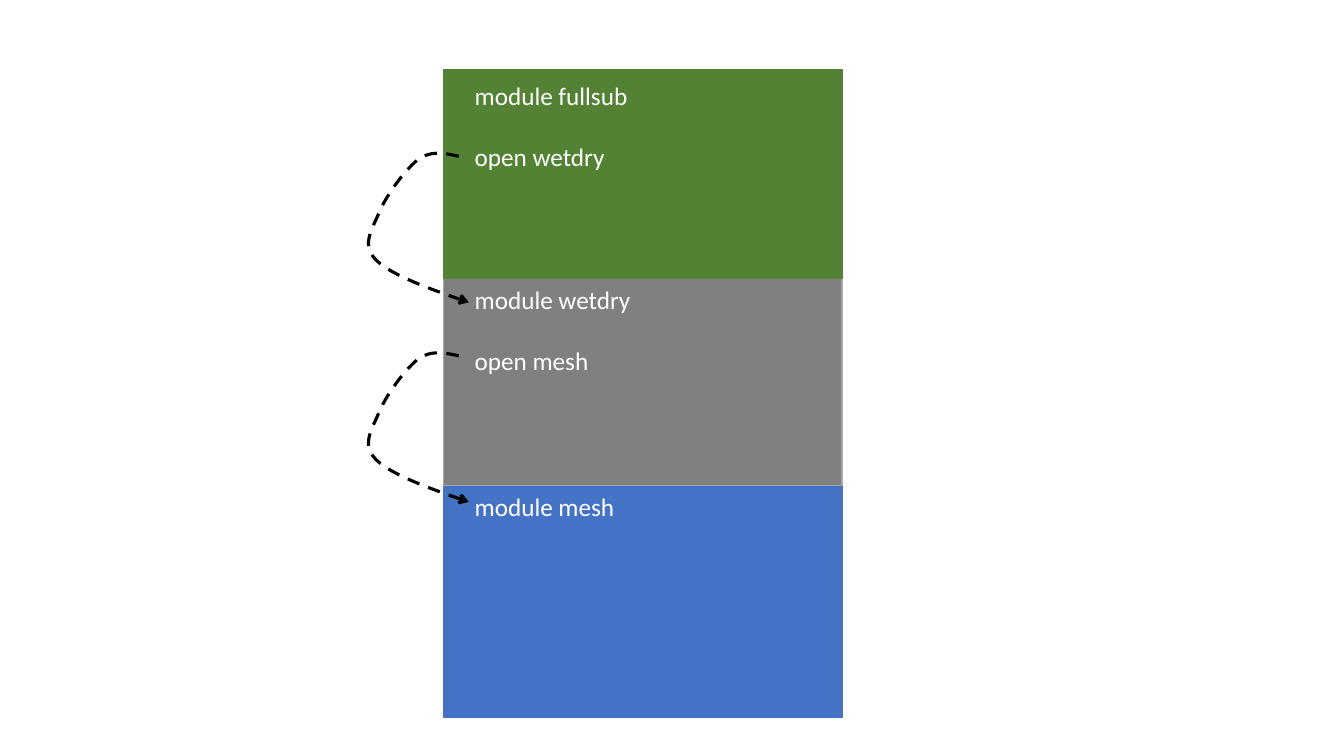
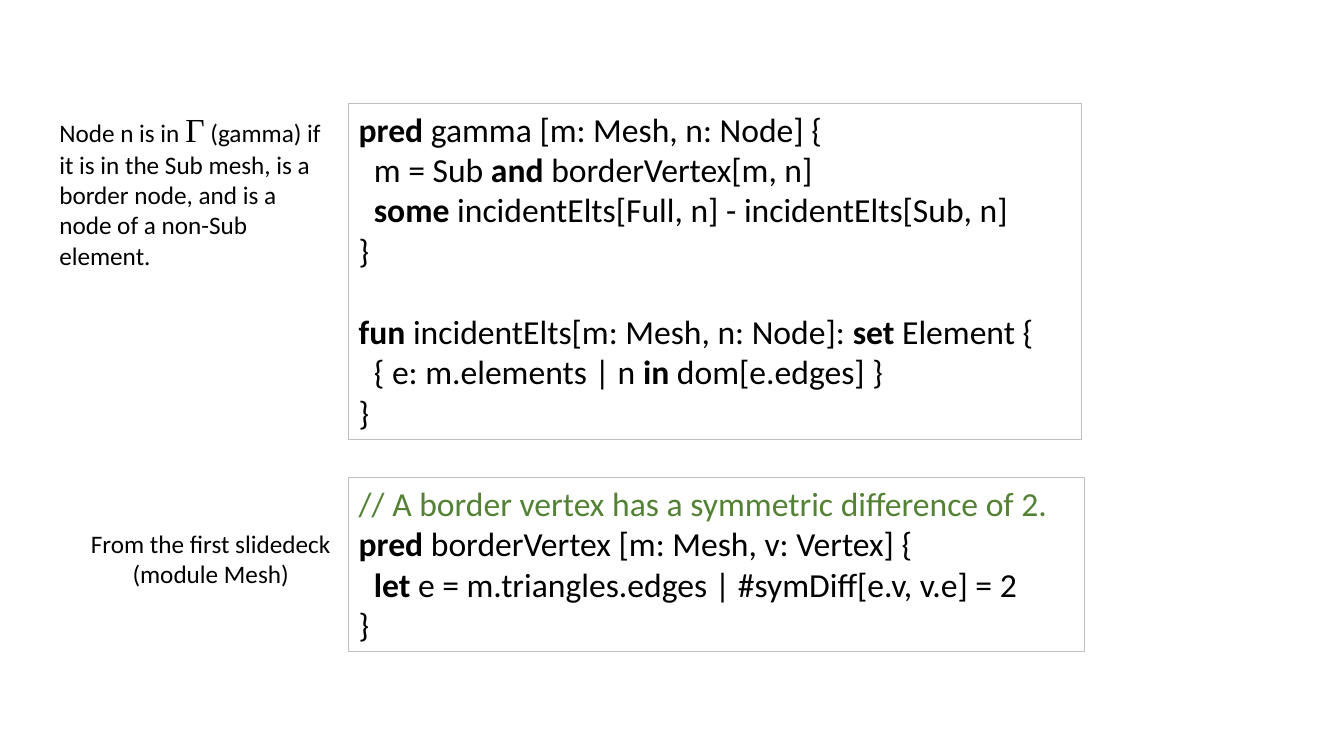
from lxml.etree import SubElement
from pptx import Presentation
from pptx.dml.color import RGBColor
from pptx.enum.dml import MSO_LINE
from pptx.enum.shapes import MSO_SHAPE
from pptx.enum.text import MSO_AUTO_SIZE, PP_ALIGN
from pptx.oxml.ns import qn
from pptx.util import Inches, Pt

FONT = "Calibri"
BLACK, WHITE = "000000", "FFFFFF"
GREEN, GRAY, BLUE = "548235", "808080", "4472C4"
LIGHT_GRAY, PALE_GRAY = "A6A6A6", "BFBFBF"
LINE_HEIGHT = 1.22  # of the font size
CODE_INDENT = Inches(0.15)


def rgb(value):
    return RGBColor.from_string(value)


def add_text(slide, box, lines, size, color, wrap=True, align=PP_ALIGN.LEFT):
    """Add (text, indent level, space before, color) lines; ** encloses bold."""
    textbox = slide.shapes.add_textbox(*map(Inches, box))
    frame = textbox.text_frame
    frame.word_wrap = wrap
    frame.auto_size = MSO_AUTO_SIZE.SHAPE_TO_FIT_TEXT
    for number, (text, level, gap, own_color) in enumerate(lines):
        paragraph = frame.add_paragraph() if number else frame.paragraphs[0]
        paragraph.alignment = align
        paragraph.space_before = Pt(gap)
        paragraph.font.name = FONT
        paragraph.font.size = Pt(size)
        paragraph.font.color.rgb = rgb(own_color or color)
        if level:
            properties = paragraph._p.get_or_add_pPr()
            properties.set("marL", str(level * CODE_INDENT))
            properties.set("indent", "0")
        for index, part in enumerate(text.split("**")):
            if part:
                run = paragraph.add_run()
                run.text = part
                if index % 2:
                    run.font.bold = True
    return textbox


prs = Presentation()
prs.slide_width, prs.slide_height = Inches(13.33), Inches(7.5)
blank = prs.slide_layouts[6]

# Slide 1: stacked modules, lowest first
modules_slide = prs.slides.add_slide(blank)
modules = [
    # top, height, fill, outline, label top, label width, label height, module, opened
    (4.79, 2.33, BLUE, BLUE, 4.83, 1.6, 0.4, "mesh", None),
    (2.75, 2.07, GRAY, LIGHT_GRAY, 2.77, 1.77, 1.01, "wetdry", "mesh"),
    (0.69, 2.07, GREEN, GREEN, 0.75, 1.74, 1.01, "fullsub", "wetdry"),
]
for top, height, fill, outline, label_top, label_width, label_height, module, opened in modules:
    block = modules_slide.shapes.add_shape(
        MSO_SHAPE.RECTANGLE, Inches(4.4), Inches(top), Inches(3.95), Inches(height))
    block.shadow.inherit = False
    block.fill.solid()
    block.fill.fore_color.rgb = rgb(fill)
    block.line.color.rgb = rgb(outline)
    block.line.width = Pt(1)
    lines = [(f"module {module}", 0, 0, None)]
    if opened:
        lines.append((f"open {opened}", 0, 18 * LINE_HEIGHT, None))
    add_text(modules_slide, (4.61, label_top, label_width, label_height),
             lines, 18, WHITE, wrap=False)

# Dashed curves from each "open" to the module it opens
curve_start = (4.55, 1.55)
curve_segments = [  # two control points and an end
    ((4.41, 1.52), (4.28, 1.49), (4.15, 1.58)),
    ((4.02, 1.68), (3.83, 1.94), (3.76, 2.11)),
    ((3.69, 2.28), (3.58, 2.43), (3.73, 2.58)),
    ((3.88, 2.73), (4.27, 2.87), (4.65, 3)),
]
STEPS = 12
curve_points = []
segment_start = curve_start
for control_1, control_2, end in curve_segments:
    for step in range(1, STEPS + 1):
        t = step / STEPS
        weights = ((1 - t) ** 3, 3 * t * (1 - t) ** 2, 3 * t * t * (1 - t), t ** 3)
        anchors = (segment_start, control_1, control_2, end)
        curve_points.append(tuple(
            sum(weight * anchor[axis] for weight, anchor in zip(weights, anchors))
            for axis in (0, 1)))
    segment_start = end

for drop in (0, 1.98):
    builder = modules_slide.shapes.build_freeform(
        Inches(curve_start[0]), Inches(curve_start[1] + drop))
    builder.add_line_segments(
        [(Inches(x), Inches(y + drop)) for x, y in curve_points], close=False)
    curve = builder.convert_to_shape()
    curve.shadow.inherit = False
    curve.fill.background()
    curve.line.color.rgb = rgb(BLACK)
    curve.line.width = Pt(2.25)
    curve.line.dash_style = MSO_LINE.DASH
    SubElement(curve.line._get_or_add_ln(), qn("a:tailEnd"), type="arrow")

# Slide 2: code boxes
code_slide = prs.slides.add_slide(blank)
gamma_code = [
    ("**pred** gamma [m: Mesh, n: Node] {", 0, 0, None),
    ("m = Sub **and** borderVertex[m, n]", 1, 0, None),
    ("**some** incidentElts[Full, n] - incidentElts[Sub, n]", 1, 0, None),
    ("}", 0, 0, None),
    ("**fun** incidentElts[m: Mesh, n: Node]: **set** Element {", 0, 24 * LINE_HEIGHT, None),
    ("{ e: m.elements | n **in** dom[e.edges] }", 1, 0, None),
    ("}", 0, 0, None),
]
border_code = [
    ("// A border vertex has a symmetric difference of 2.", 0, 0, GREEN),
    ("**pred** borderVertex [m: Mesh, v: Vertex] {", 0, 0, None),
    ("**let** e = m.triangles.edges | #symDiff[e.v, v.e] = 2", 1, 0, None),
    ("}", 0, 0, None),
]
for box, code in [((3.46, 1.03, 7.27, 3.33), gamma_code),
                  ((3.46, 4.74, 7.3, 1.72), border_code)]:
    code_box = add_text(code_slide, box, code, 24, BLACK)
    code_box.line.color.rgb = rgb(PALE_GRAY)
    code_box.line.width = Pt(0.75)

# Notes beside the code
add_text(code_slide, (0.79, 5.19, 2.6, 0.71),
         [("From the first slidedeck", 0, 0, None), ("(module Mesh)", 0, 0, None)],
         18, BLACK, wrap=False, align=PP_ALIGN.CENTER)
gamma_note = add_text(code_slide, (0.49, 1.03, 2.9, 1.72),
                      [("Node n is in ", 0, 0, None)], 18, BLACK)
gamma_paragraph = gamma_note.text_frame.paragraphs[0]
symbol = gamma_paragraph.add_run()
symbol.text = "Γ"
symbol.font.name = "Times New Roman"
symbol.font.size = Pt(24)
gamma_paragraph.add_run().text = (
    " (gamma) if it is in the Sub mesh, is a border node, "
    "and is a node of a non-Sub element.")

prs.save("out.pptx")
